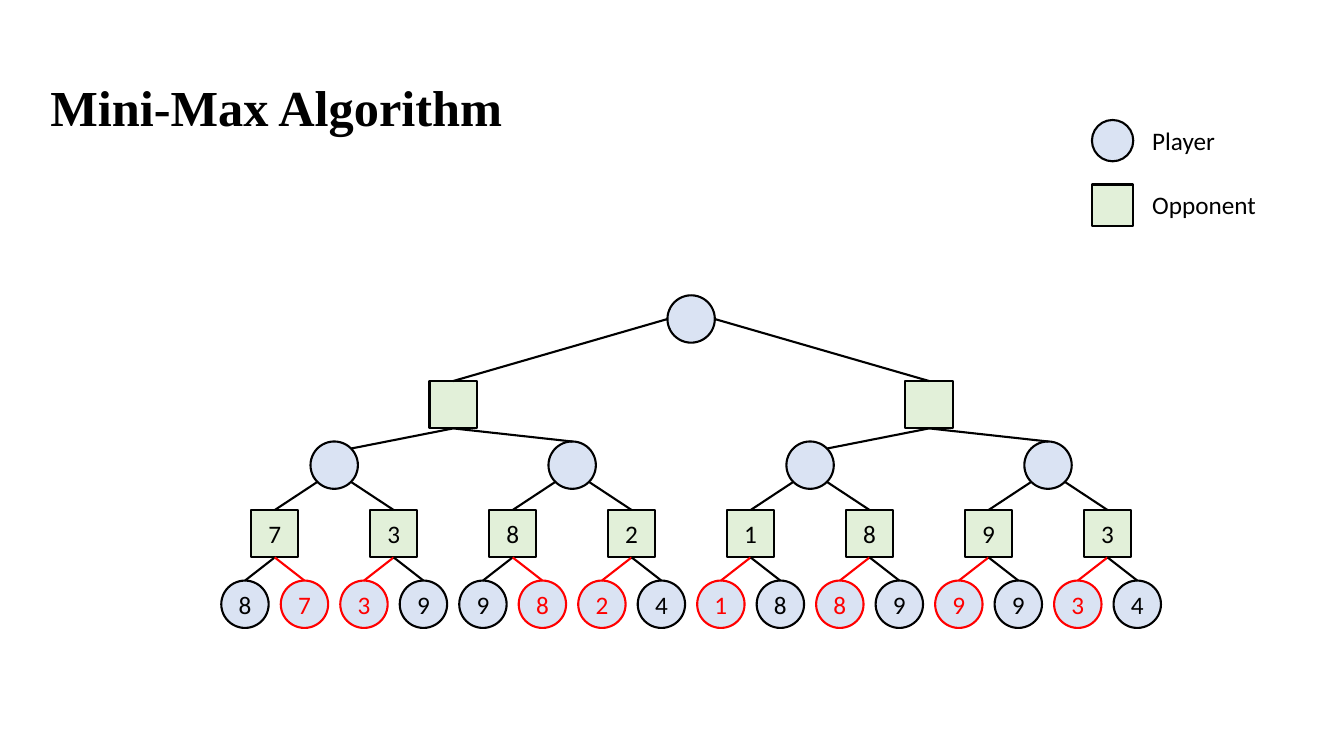
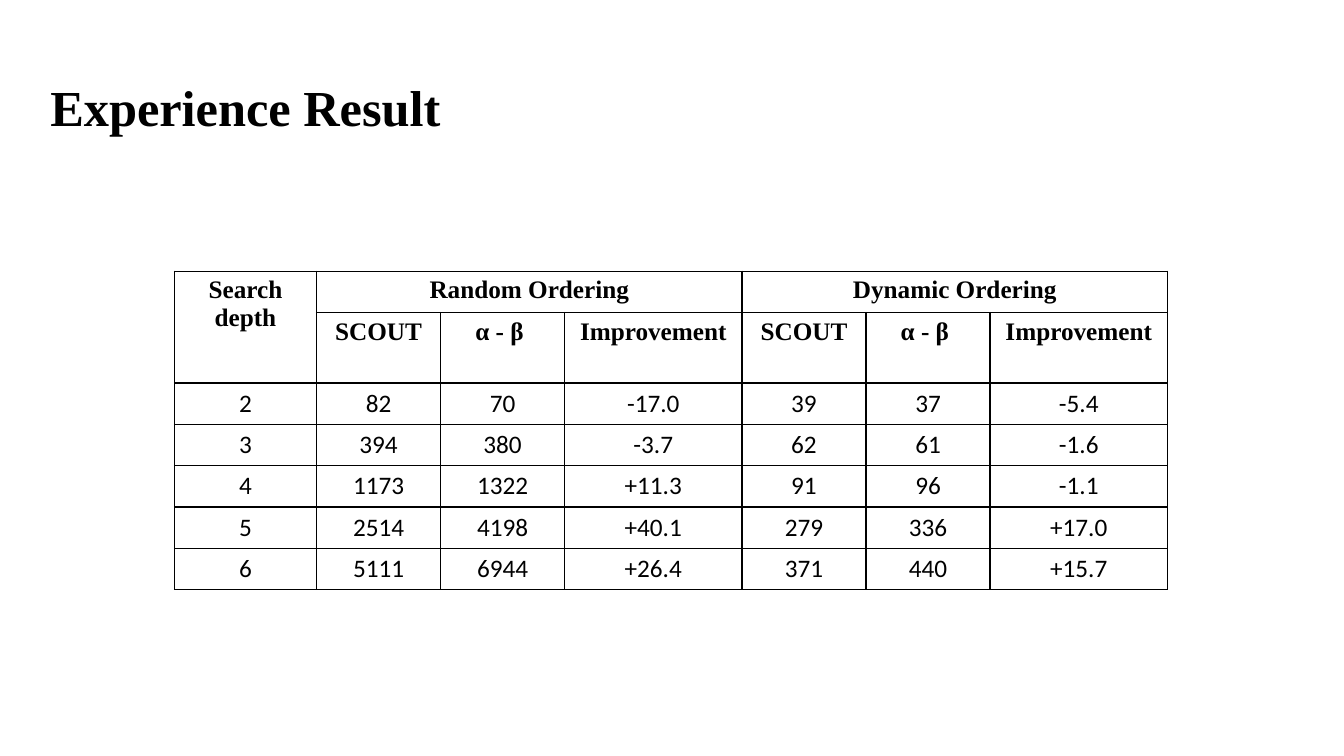
from typing import NamedTuple

from lxml import etree
from pptx import Presentation
from pptx import util as u
from pptx.dml.color import RGBColor
from pptx.enum import shapes, text
from pptx.oxml.ns import qn

SLIDE_W, SLIDE_H = 13.33, 7.5
BLACK = RGBColor(0x00, 0x00, 0x00)
RED = RGBColor(0xFF, 0x00, 0x00)
PLAYER_BLUE = RGBColor(0xDA, 0xE3, 0xF3)
OPPONENT_GREEN = RGBColor(0xE2, 0xF0, 0xD9)
SERIF, SANS = "Times New Roman", "Calibri"
BODY_SIZE = 18

NODE_SIZE = 0.47
LEAF_STEP = 0.59
TREE_CENTER = 6.855
LEVEL_TOPS = (2.93, 3.78, 4.38, 5.06, 5.76)
LEAF_SCORES = (8, 7, 3, 9, 9, 8, 2, 4, 1, 8, 8, 9, 9, 9, 3, 4)

COLUMN_WIDTHS = (1.41, 1.23, 1.23, 1.76, 1.23, 1.23, 1.76)
ROW_HEIGHT = 0.41
HEADER_ROWS = 2
RESULTS = (
    ("Search\ndepth", "Random Ordering", "", "", "Dynamic Ordering", "", ""),
    ("",) + ("SCOUT", "α - β ", "Improvement") * 2,
    ("2", "82", "70", "-17.0", "39", "37", "-5.4"),
    ("3", "394", "380", "-3.7", "62", "61", "-1.6"),
    ("4", "1173", "1322", "+11.3", "91", "96", "-1.1"),
    ("5", "2514", "4198", "+40.1", "279", "336", "+17.0"),
    ("6", "5111", "6944", "+26.4", "371", "440", "+15.7"),
)


class Role(NamedTuple):
    name: str
    outline: shapes.MSO_SHAPE
    fill: RGBColor


class Site(NamedTuple):
    """A connection site: its index, and its place as shares of the node."""
    index: int
    x: float
    y: float


class Node(NamedTuple):
    shape: object
    color: RGBColor


PLAYER = Role("Player", shapes.MSO_SHAPE.OVAL, PLAYER_BLUE)
OPPONENT = Role("Opponent", shapes.MSO_SHAPE.RECTANGLE, OPPONENT_GREEN)

TOP = Site(0, 0.5, 0)
SQUARE_BOTTOM = Site(2, 0.5, 1)
CIRCLE_LEFT, CIRCLE_RIGHT = Site(2, 0, 0.5), Site(6, 1, 0.5)
CIRCLE_LOWER_LEFT, CIRCLE_LOWER_RIGHT = Site(3, 0.15, 0.85), Site(5, 0.85, 0.85)
CIRCLE_UPPER_RIGHT = Site(7, 0.85, 0.15)

# Per parent level: (parent site, child site) for the left and the right child
EDGE_SITES = (
    ((CIRCLE_LEFT, TOP), (CIRCLE_RIGHT, TOP)),
    ((SQUARE_BOTTOM, CIRCLE_UPPER_RIGHT), (SQUARE_BOTTOM, TOP)),
    ((CIRCLE_LOWER_LEFT, TOP), (CIRCLE_LOWER_RIGHT, TOP)),
    ((SQUARE_BOTTOM, TOP), (SQUARE_BOTTOM, TOP)),
)


def style_font(font, name: str, size: float, color: RGBColor = BLACK, bold: bool = False) -> None:
    font.name, font.size, font.bold = name, u.Pt(size), bold
    font.color.rgb = color


def add_titled_slide(deck, title: str):
    slide = deck.slides.add_slide(deck.slide_layouts[6])
    box = slide.shapes.add_textbox(*map(u.Inches, (0.03 * SLIDE_W, 0.66, 0.94 * SLIDE_W, 0.71)))
    frame = box.text_frame
    frame.word_wrap = True
    frame.margin_top, frame.margin_bottom = u.Inches(0.1), u.Inches(0.03)
    frame.text = title
    style_font(frame.paragraphs[0].runs[0].font, SERIF, 36, bold=True)
    return slide


def add_node(parent, role: Role, left: float, top: float, size: float,
             label: str = "", color: RGBColor = BLACK) -> Node:
    shape = parent.add_shape(role.outline, *map(u.Inches, (left, top, size, size)))
    shape.shadow.inherit = False
    shape.fill.solid()
    shape.fill.fore_color.rgb = role.fill
    shape.line.color.rgb = color
    shape.line.width = u.Pt(1.5)
    if label:
        frame = shape.text_frame
        frame.text = label
        frame.vertical_anchor = text.MSO_ANCHOR.MIDDLE
        frame.paragraphs[0].alignment = text.PP_ALIGN.CENTER
        style_font(frame.paragraphs[0].runs[0].font, SANS, BODY_SIZE, color)
    return Node(shape, color)


def add_edge(slide, parent: Node, child: Node, sites: tuple[Site, Site]) -> None:
    """Draw a line glued to the two nodes, in the colour of the child."""
    ends = tuple(zip((parent.shape, child.shape), sites))
    points = [int(value) for shape, site in ends
              for value in (shape.left + site.x * shape.width, shape.top + site.y * shape.height)]
    edge = slide.shapes.add_connector(shapes.MSO_CONNECTOR.STRAIGHT, *points)
    edge.line.color.rgb = child.color
    edge.line.width = u.Pt(1.5)
    etree.SubElement(edge._element.spPr, qn("a:effectLst"))
    glue = edge._element.find(".//" + qn("p:cNvCxnSpPr"))
    for tag, (shape, site) in zip(("a:stCxn", "a:endCxn"), ends):
        etree.SubElement(glue, qn(tag), id=str(shape.shape_id), idx=str(site.index))


def label_level(level: int) -> list[tuple[str, RGBColor]]:
    """Give the score and colour of each node; the leaf chosen by a minimum is red."""
    pairs = list(zip(LEAF_SCORES[::2], LEAF_SCORES[1::2]))
    if level == 4:
        return [(str(score), RED if side == pair.index(min(pair)) else BLACK)
                for pair in pairs for side, score in enumerate(pair)]
    if level == 3:
        return [(str(min(pair)), BLACK) for pair in pairs]
    return [("", BLACK)] * 2 ** level


def draw_tree(slide) -> None:
    levels = []
    for level, top in enumerate(LEVEL_TOPS):
        role = OPPONENT if level % 2 else PLAYER
        count = 2 ** level
        step = LEAF_STEP * len(LEAF_SCORES) / count
        first_left = TREE_CENTER - step * (count - 1) / 2 - NODE_SIZE / 2
        levels.append([add_node(slide.shapes, role, first_left + i * step, top, NODE_SIZE, *label)
                       for i, label in enumerate(label_level(level))])
    for parents, children, sites in zip(levels, levels[1:], EDGE_SITES):
        for i, child in enumerate(children):
            add_edge(slide, parents[i // 2], child, sites[i % 2])


def draw_legend(slide) -> None:
    legend = slide.shapes.add_group_shape().shapes
    for row, (role, width) in enumerate(((PLAYER, 0.83), (OPPONENT, 1.24))):
        top = 1.19 + 0.64 * row
        add_node(legend, role, 10.83, top, 0.41)
        caption = legend.add_textbox(*map(u.Inches, (11.33, top, width, 0.4))).text_frame
        caption.word_wrap = False
        caption.text = role.name
        style_font(caption.paragraphs[0].runs[0].font, SANS, BODY_SIZE)


def style_cell(cell, header: bool) -> None:
    for paragraph in cell.text_frame.paragraphs:
        paragraph.alignment = text.PP_ALIGN.CENTER
        for run in paragraph.runs:
            style_font(run.font, SERIF if header else SANS, BODY_SIZE, bold=header)
    properties = cell._tc.get_or_add_tcPr()
    for side in ("a:lnL", "a:lnR", "a:lnT", "a:lnB"):
        border = etree.SubElement(properties, qn(side), w=str(u.Pt(1)))
        fill = etree.SubElement(border, qn("a:solidFill"))
        etree.SubElement(fill, qn("a:srgbClr"), val=str(BLACK))
    cell.fill.background()


def draw_results(slide) -> None:
    size = sum(COLUMN_WIDTHS), ROW_HEIGHT * len(RESULTS)
    table = slide.shapes.add_table(len(RESULTS), len(COLUMN_WIDTHS),
                                   *map(u.Inches, (1.73, 2.69, *size))).table
    table.first_row = table.horz_banding = False
    for column, width in zip(table.columns, COLUMN_WIDTHS):
        column.width = u.Inches(width)
    for r, values in enumerate(RESULTS):
        table.rows[r].height = u.Inches(ROW_HEIGHT)
        for c, value in enumerate(values):
            cell = table.cell(r, c)
            cell.text_frame.text = value
            style_cell(cell, header=r < HEADER_ROWS)
    for first, last in (((0, 0), (1, 0)), ((0, 1), (0, 3)), ((0, 4), (0, 6))):
        table.cell(*first).merge(table.cell(*last))


def main() -> None:
    deck = Presentation()
    deck.slide_width, deck.slide_height = u.Inches(SLIDE_W), u.Inches(SLIDE_H)
    algorithm = add_titled_slide(deck, "Mini-Max Algorithm")
    draw_tree(algorithm)
    draw_legend(algorithm)
    draw_results(add_titled_slide(deck, "Experience Result"))
    deck.save("out.pptx")


if __name__ == "__main__":
    main()
